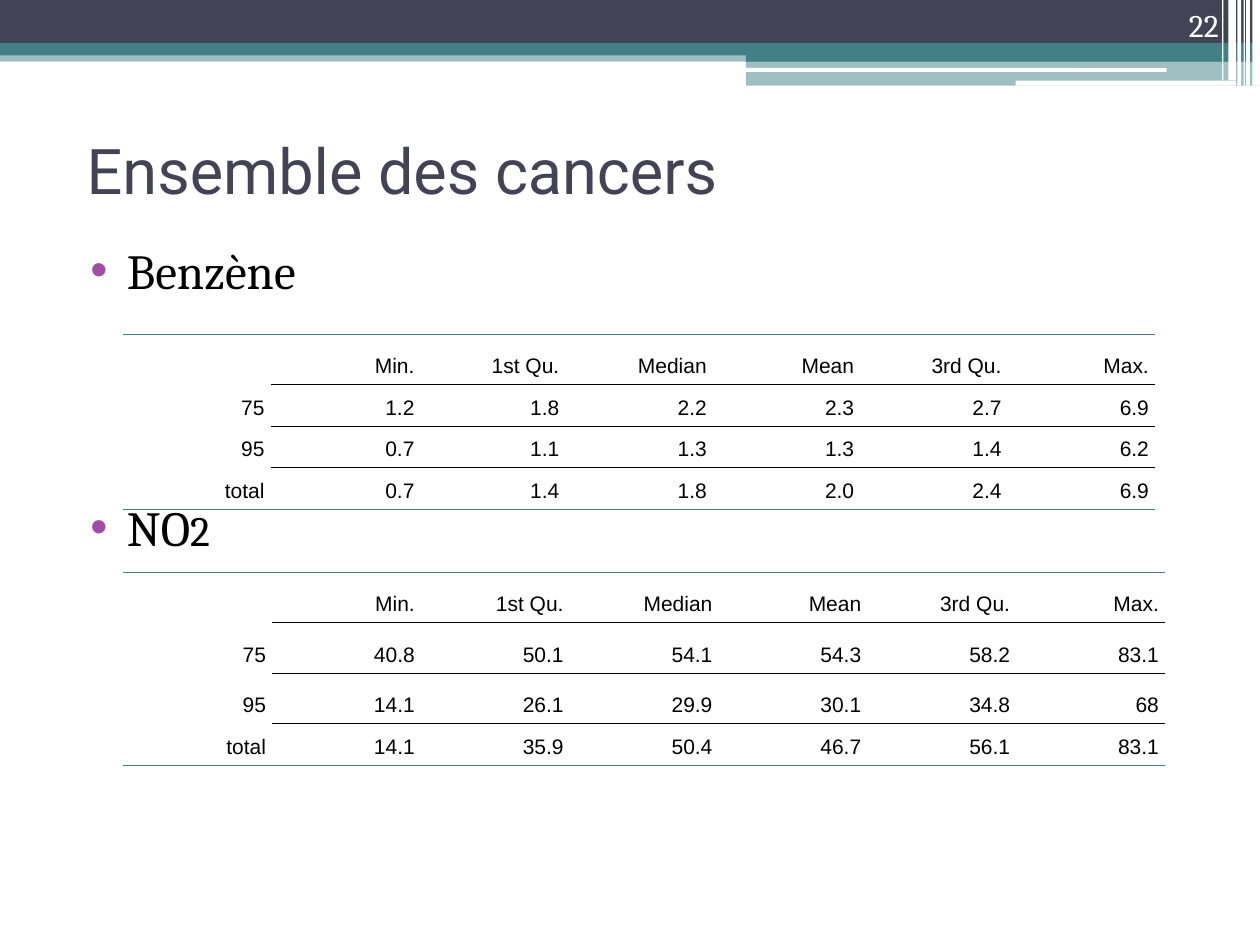
from lxml import etree
from pptx import Presentation
from pptx.dml.color import RGBColor
from pptx.enum.shapes import MSO_SHAPE
from pptx.enum.text import MSO_ANCHOR, PP_ALIGN
from pptx.oxml.ns import qn
from pptx.util import Inches, Pt

RECT, ROUND = MSO_SHAPE.RECTANGLE, MSO_SHAPE.ROUNDED_RECTANGLE
TOP, MIDDLE, BOTTOM = MSO_ANCHOR.TOP, MSO_ANCHOR.MIDDLE, MSO_ANCHOR.BOTTOM
LEFT, RIGHT = PP_ALIGN.LEFT, PP_ALIGN.RIGHT

COLORS = {
    "slate": "424456", "teal": "438086", "purple": "A04DA3",
    "white": "FFFFFF", "black": "000000",
}
UNIT = Inches(0.1)
COLUMNS, ROWS = 100, 75

HEADINGS = ["", "Min.", "1st Qu.", "Median", "Mean", "3rd Qu.", "Max."]
BENZENE = [
    HEADINGS,
    ["75", "1.2", "1.8", "2.2", "2.3", "2.7", "6.9"],
    ["95", "0.7", "1.1", "1.3", "1.3", "1.4", "6.2"],
    ["total", "0.7", "1.4", "1.8", "2.0", "2.4", "6.9"],
]
NITROGEN_DIOXIDE = [
    HEADINGS,
    ["75", "40.8", "50.1", "54.1", "54.3", "58.2", "83.1"],
    ["95", "14.1", "26.1", "29.9", "30.1", "34.8", "68"],
    ["total", "14.1", "35.9", "50.4", "46.7", "56.1", "83.1"],
]


def grid(*cells):
    """Convert grid columns and rows to slide lengths."""
    return [round(cell * UNIT) for cell in cells]


def color(name):
    """Look up a colour by its name."""
    return RGBColor.from_string(COLORS[name])


def add_band(page, box, fill, opacity=100, kind=RECT):
    """Add a borderless band of one colour."""
    band = page.shapes.add_shape(kind, *grid(*box))
    band.shadow.inherit = False
    band.line.fill.background()
    band.fill.solid()
    band.fill.fore_color.rgb = color(fill)
    if opacity < 100:
        tint = band.fill._xPr.find(qn("a:solidFill"))[0]
        etree.SubElement(tint, qn("a:alpha"), val=str(opacity * 1000))
    return band


def add_header(page, box):
    """Add the layered bands and the white stripes at the right end."""
    left, top, width, height = box
    middle, right = left + 0.592 * width, left + width
    half = right - middle
    add_band(page, (left, top + 4, width, 0.9), "teal", 50)
    add_band(page, (left, top, width, 3.4), "slate")
    add_band(page, (left, top + 3.4, width, 1), "teal")
    add_band(page, (middle, top + 3.9, half, 1), "teal")
    add_band(page, (middle, top + 4.8, half, 2), "teal", 50)
    add_band(page, (middle - 0.1, top + 5.4, 33.5, 0.3), "white", kind=ROUND)
    add_band(page, (right - 19.4, top + 6.4, 17.5, 0.4), "white", kind=ROUND)
    stripes = [(0.6, 0.6, 1), (1.1, 0.3, 1), (1.3, 0.1, 1),
               (1.8, 0.3, 1), (2.5, 0.6, 0.94), (3, 0.1, 0.94)]
    for offset, thickness, share in stripes:
        add_band(page, (right - offset, top, thickness, height * share), "white")


def style(para, face, size, ink, align=LEFT):
    """Set the font and alignment of a paragraph."""
    para.alignment = align
    para.font.name = face
    para.font.size = Pt(size)
    para.font.color.rgb = color(ink)


def add_text(page, box, anchor):
    """Add a wrapping text box and return its frame."""
    frame = page.shapes.add_textbox(*grid(*box)).text_frame
    frame.word_wrap = True
    frame.vertical_anchor = anchor
    return frame


def add_label(page, box, text, face, size, ink, anchor, align=LEFT):
    """Add a text box with one line."""
    para = add_text(page, box, anchor).paragraphs[0]
    para.text = text
    style(para, face, size, ink, align)


def add_bullet(para):
    """Give a paragraph a purple bullet and a hanging indent."""
    props = para._p.get_or_add_pPr()
    props.set("marL", str(Inches(0.4)))
    props.set("indent", str(-Inches(0.29)))
    tint = etree.SubElement(props, qn("a:buClr"))
    etree.SubElement(tint, qn("a:srgbClr"), val=COLORS["purple"])
    etree.SubElement(props, qn("a:buFont"), typeface="Arial")
    etree.SubElement(props, qn("a:buChar"), char="•")


def add_pollutants(page, box, gap):
    """Add the two pollutant names, parted by a gap in points."""
    frame = add_text(page, box, TOP)
    benzene, dioxide = frame.paragraphs[0], frame.add_paragraph()
    for para in (benzene, dioxide):
        add_bullet(para)
        style(para, "Cambria", 28, "black")
    benzene.add_run().text = "Benzène"
    dioxide.space_before = Pt(gap)
    dioxide.add_run().text = "NO"
    index = dioxide.add_run()
    index.text = "2"
    index.font.size = Pt(24)


def set_borders(cell, top, bottom):
    """Draw the named top and bottom lines of a cell and no others."""
    props = cell._tc.get_or_add_tcPr()
    sides = [("L", None), ("R", None), ("T", top), ("B", bottom)]
    for place, (side, ink) in enumerate(sides):
        line = etree.Element(qn(f"a:ln{side}"), w=str(Pt(0.45)))
        if ink:
            fill = etree.SubElement(line, qn("a:solidFill"))
            etree.SubElement(fill, qn("a:srgbClr"), val=COLORS[ink])
        else:
            etree.SubElement(line, qn("a:noFill"))
        props.insert(place, line)


def add_summary(page, box, values, widths, heights, middle_spacing):
    """Add a table of summary statistics with ruled data columns."""
    shape = page.shapes.add_table(len(values), len(widths), *grid(*box))
    table = shape.table
    table.first_row = table.horz_banding = False
    for column, width in zip(table.columns, grid(*widths)):
        column.width = width
    for row, height in zip(table.rows, grid(*heights)):
        row.height = height
    last = len(values) - 1
    for r, texts in enumerate(values):
        for c, text in enumerate(texts):
            cell = table.cell(r, c)
            cell.fill.background()
            rule = "black" if c else None
            set_borders(cell, "teal" if r == 0 else rule,
                        "teal" if r == last else rule)
            cell.vertical_anchor = BOTTOM
            cell.margin_left = cell.margin_right = Inches(0.05)
            cell.margin_top = cell.margin_bottom = Inches(0.05)
            para = cell.text_frame.paragraphs[0]
            para.text = text
            para.line_spacing = middle_spacing if c and 0 < r < last else 1.15
            style(para, "Arial", 12, "black", RIGHT)


def main():
    """Build the slide and save the deck."""
    deck = Presentation()
    deck.slide_width, deck.slide_height = grid(COLUMNS, ROWS)
    page = deck.slides.add_slide(deck.slide_layouts[6])
    add_header(page, (0, 0, COLUMNS, 6.8))
    add_label(page, (5.9, 7.6, 90, 11.7), "Ensemble des cancers",
              "Roboto", 36, "slate", MIDDLE)
    add_pollutants(page, (5.1, 18.6, 90, 47.3), 113)
    add_label(page, (89.4, 0, 8.3, 4), "22", "Cambria", 18, "white", BOTTOM, RIGHT)
    add_summary(page, (9.8, 26.5, 81.9, 11.1), BENZENE,
                [11.7, 11.9, 11.5] + [11.7] * 4, [4] + [2.4] * 3, 1.15)
    add_summary(page, (9.8, 45.4, 82.7, 13), NITROGEN_DIOXIDE,
                [82.7 / 7] * 7, [4] + [3] * 3, 1.5)
    deck.save("out.pptx")


if __name__ == "__main__":
    main()
